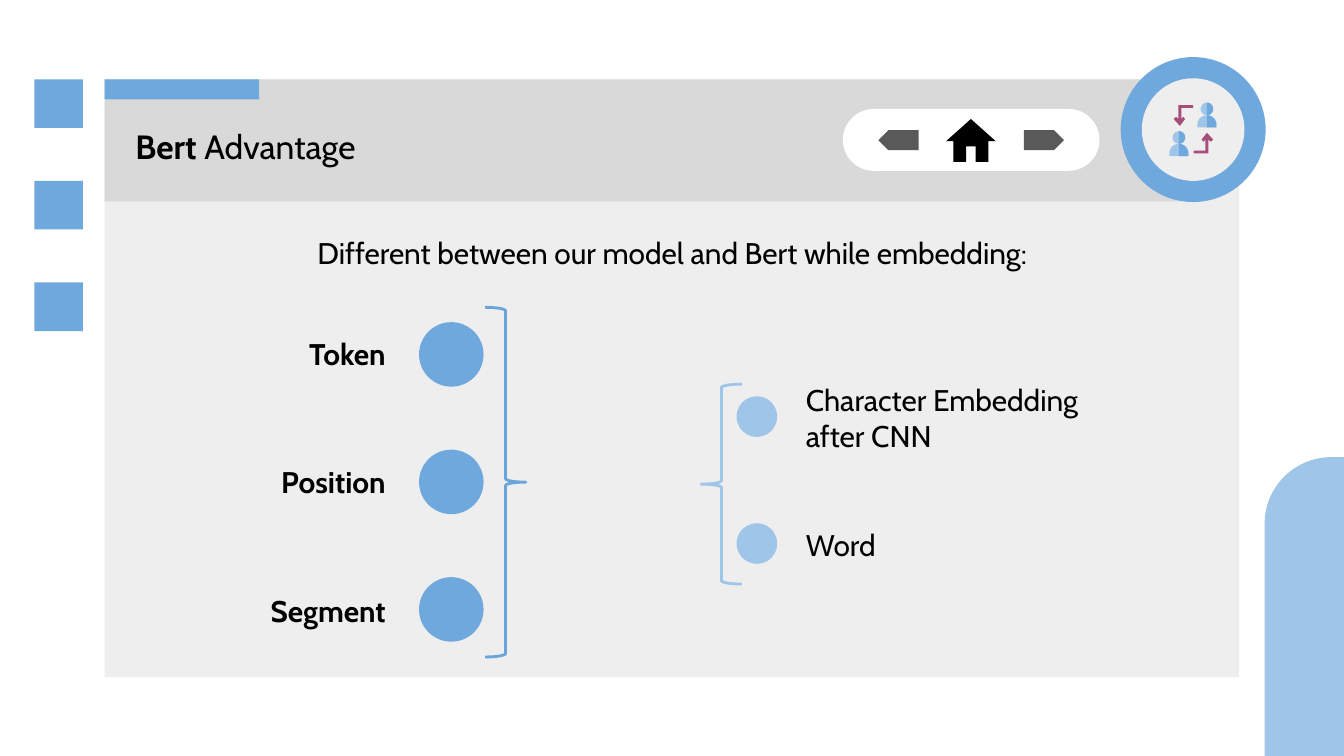
from math import cos, radians, sin

from pptx import Presentation
from pptx.dml.color import RGBColor
from pptx.enum.shapes import MSO_SHAPE as Kind
from pptx.enum.text import MSO_ANCHOR as Anchor, PP_ALIGN as Align
from pptx.util import Cm, Pt

BLUE = RGBColor(0x6F, 0xA8, 0xDC)
PALE = RGBColor(0x9F, 0xC5, 0xE8)
BRACE = RGBColor(0x6A, 0xA4, 0xDA)
PLUM = RGBColor(0xA6, 0x4D, 0x79)
BLACK = RGBColor(0, 0, 0)
DARK = RGBColor(0x59, 0x59, 0x59)
GREY = RGBColor(0xD9, 0xD9, 0xD9)
LIGHT = RGBColor(0xEE, 0xEE, 0xEE)
WHITE = RGBColor(0xFF, 0xFF, 0xFF)


def arc(x, y, rx, ry, start, end, steps=16):
    """Points on an ellipse; degrees run clockwise from the right."""
    turns = [radians(start + (end - start) * i / steps) for i in range(steps + 1)]
    return [(x + rx * cos(t), y + ry * sin(t)) for t in turns]


class Deck:
    """Holds the text style and the current slide; lengths are in cm."""

    font = "Cabin"
    size = 16
    inset = 0.25

    def __init__(self, wide, high):
        self.file = Presentation()
        self.file.slide_width, self.file.slide_height = Cm(wide), Cm(high)
        self.slide = self.file.slides.add_slide(self.file.slide_layouts[6])

    def paint(self, shape, fill):
        shape.shadow.inherit = False
        shape.fill.solid()
        shape.fill.fore_color.rgb = fill
        shape.line.fill.background()
        return shape

    def shape(self, kind, x, y, w, h, fill, turn=0):
        item = self.slide.shapes.add_shape(kind, Cm(x), Cm(y), Cm(w), Cm(h))
        item.rotation = turn
        return self.paint(item, fill)

    def rect(self, *box):
        return self.shape(Kind.RECTANGLE, *box)

    def disc(self, x, y, size, fill):
        return self.shape(Kind.OVAL, x, y, size, size, fill)

    def brace(self, x, y, w, h, color, turn=0):
        item = self.shape(Kind.RIGHT_BRACE, x, y, w, h, color, turn)
        item.fill.background()
        item.line.color.rgb = color
        item.line.width = Pt(1.5)

    def poly(self, points, fill):
        spots = [(Cm(x), Cm(y)) for x, y in points]
        pen = self.slide.shapes.build_freeform(*spots[0])
        pen.add_line_segments(spots[1:], close=True)
        return self.paint(pen.convert_to_shape(), fill)

    def text(self, x, y, w, h, runs, size=size, align=Align.LEFT,
             anchor=Anchor.MIDDLE, space=None, after=None):
        """Add one paragraph from (text, bold) pairs."""
        box = self.slide.shapes.add_textbox(Cm(x), Cm(y), Cm(w), Cm(h))
        frame = box.text_frame
        frame.word_wrap = True
        frame.vertical_anchor = anchor
        frame.margin_left = frame.margin_right = Cm(self.inset)
        frame.margin_top = frame.margin_bottom = Cm(self.inset)
        para = frame.paragraphs[0]
        para.alignment = align
        if space:
            para.line_spacing = space
        if after:
            para.space_after = Pt(after)
        for words, bold in runs:
            run = para.add_run()
            run.text = words
            run.font.name = self.font
            run.font.size = Pt(size)
            run.font.bold = bold
            run.font.color.rgb = BLACK

    def person(self, x, y):
        """Draw a bust, shaded on its right half; x, y is the head's centre."""
        r, top, low = 0.12, y + 0.12, y + 0.35
        wide, high = 0.18, 0.18
        base = top + high
        for start, left, fill in ((180, x - wide, PALE), (270, x, BLUE)):
            dome = arc(x, base, wide, high, start, 360)
            self.poly(dome + [(x + wide, low), (left, low)], fill)
        self.disc(x - r, y - r, 2 * r, PALE)
        self.poly(arc(x, y, r, r, -90, 90), BLUE)


def frame(deck):
    deck.rect(1.98, 1.5, 21.44, 11.3, LIGHT)
    deck.rect(1.98, 1.5, 20.62, 2.31, GREY)
    pill = deck.shape(Kind.ROUNDED_RECTANGLE, 15.93, 2.06, 4.85, 1.17, WHITE)
    pill.adjustments[0] = 0.5
    for row in range(3):
        deck.rect(0.65, 1.5 + 1.92 * row, 0.92, 0.92, BLUE)
    curve = arc(25.17, 9.9, 1.27, 1.26, 180, 270)
    deck.poly(curve + [(25.4, 8.64), (25.4, 14.29), (23.9, 14.29)], PALE)
    deck.rect(1.98, 1.5, 2.92, 0.38, BLUE)


def menu(deck):
    for x, turn in ((19.35, 0), (16.6, 180)):
        deck.shape(Kind.PENTAGON, x, 2.46, 0.76, 0.38, DARK, turn)
    mid = 18.35
    half = [(0, 2.25), (0.47, 2.67), (0.33, 2.67), (0.33, 3.06),
            (0.09, 3.06), (0.09, 2.77)]
    right = [(mid + x, y) for x, y in half]
    left = [(mid - x, y) for x, y in reversed(half[1:])]
    deck.poly(right + left, BLACK)


def badge(deck):
    deck.disc(21.18, 1.08, 2.74, BLUE)
    deck.disc(21.58, 1.48, 1.94, LIGHT)
    arrow = [(22.81, 2.51), (22.71, 2.64), (22.75, 2.68), (22.78, 2.64),
             (22.78, 2.85), (22.56, 2.85), (22.56, 2.9), (22.84, 2.9),
             (22.84, 2.64), (22.88, 2.68), (22.93, 2.64)]
    deck.poly(arrow, PLUM)
    deck.poly([(45.11 - x, 4.89 - y) for x, y in arrow], PLUM)
    deck.person(22.28, 2.6)
    deck.person(22.81, 2.06)


def main():
    deck = Deck(25.4, 14.29)
    frame(deck)
    menu(deck)
    badge(deck)
    deck.text(2.31, 2.34, 7.47, 0.86, [("Bert", True), (" Advantage", False)], size=18)
    deck.text(4.19, 4.09, 17.04, 1.14,
              [("Different between our model and Bert while embedding:", False)],
              align=Align.CENTER, anchor=Anchor.TOP, space=1.15, after=16)
    for row, word in enumerate(("Token", "Position", "Segment")):
        deck.text(4.19, 6.28 + 2.43 * row, 3.35, 0.79, [(word, True)], align=Align.RIGHT)
        deck.disc(7.92, 6.09 + 2.41 * row, 1.22, BLUE)
    for row, word in enumerate(("Character Embedding after CNN", "Word")):
        deck.text(14.98, 7.13 + 2.4 * row, 6.22, 1.52, [(word, False)])
        deck.disc(13.92, 7.49 + 2.4 * row, 0.77, PALE)
    deck.brace(9.17, 5.81, 0.77, 6.61, BRACE)
    deck.brace(13.25, 7.26, 0.77, 3.78, PALE, turn=180)
    deck.file.save("out.pptx")


if __name__ == "__main__":
    main()
